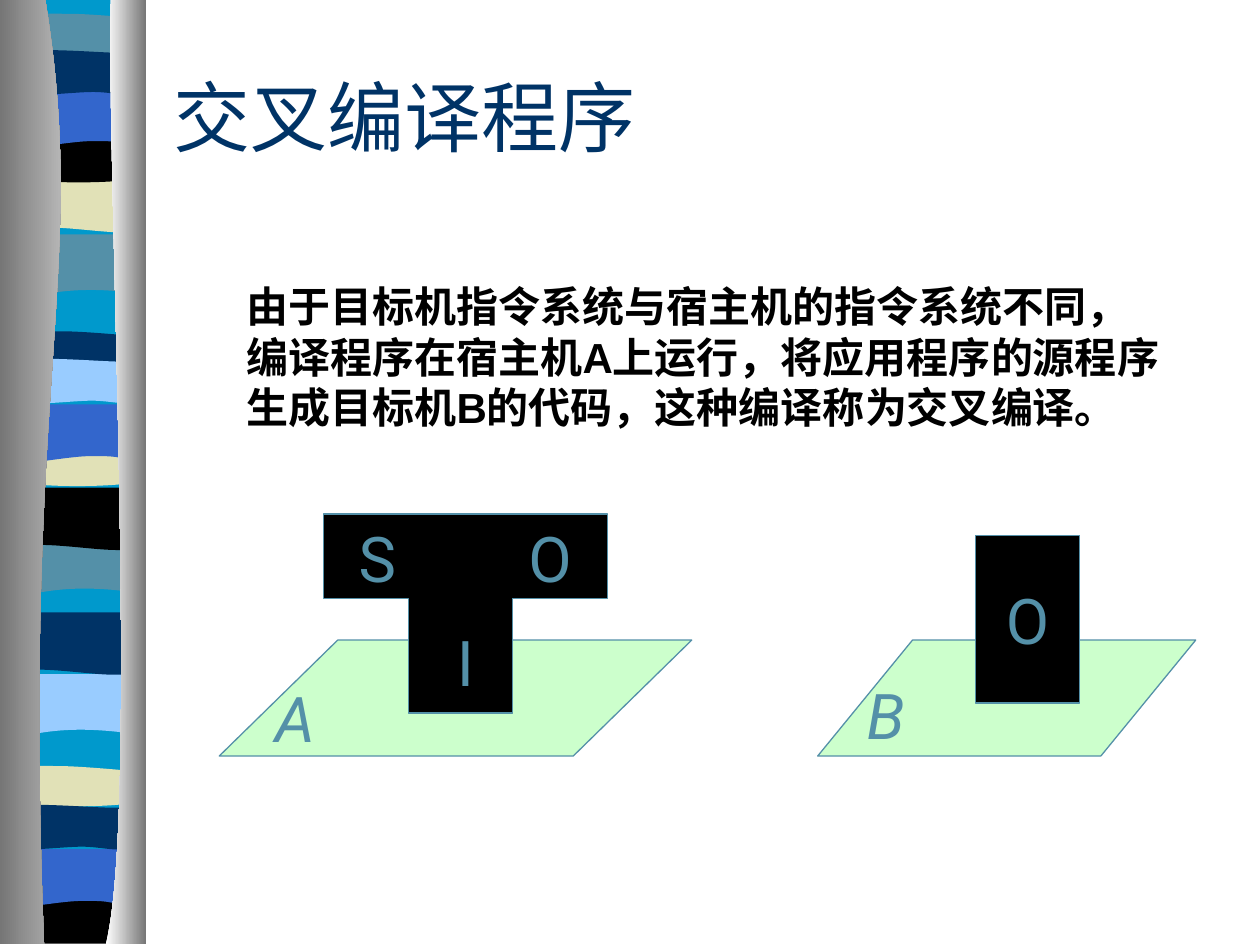
from dataclasses import dataclass

from lxml.etree import SubElement
from pptx import Presentation
from pptx.dml.color import RGBColor
from pptx.enum.shapes import MSO_SHAPE as Shape
from pptx.enum.text import MSO_ANCHOR as Anchor, MSO_AUTO_SIZE as AutoSize, PP_ALIGN as Align
from pptx.oxml.ns import qn
from pptx.util import Inches, Pt


@dataclass(frozen=True)
class Theme:
    aqua: str = "0099CC"
    steel: str = "5490A8"
    sand: str = "E1E1B7"
    black: str = "000000"
    blue: str = "3366CC"
    navy: str = "003366"
    sky: str = "99CCFF"
    mint: str = "CCFFCC"
    white: str = "FFFFFF"
    silver: str = "D3D3D3"
    grey: str = "767676"
    title_font: str = "Times New Roman"
    body_font: str = "Arial"
    letter_font: str = "Roboto"
    title_size: float = 44
    body_size: float = 24
    letter_size: float = 36
    line_width: float = 0.75


THEME = Theme()

# Outlines relative to a band's left top: 2 numbers are a corner, 6 a Bezier curve.
BAND_OUTLINES = {
    "fold": [(0.98, 0), (0.98, 0.47), (0.3, 0.38, 0.17, 0.54, 0, 0.47), (0, 0)],
    "sag": [(0.98, 0), (0.98, 0.47), (0.82, 0.55, 0.3, 0.41, 0, 0.47), (0, 0)],
    "lens": [(0.98, 0.05), (0.98, 0.3), (0.82, 0.34, 0.16, 0.34, 0, 0.3), (0, 0.05),
             (0.06, 0, 0.21, 0.01, 0.38, 0.01), (0.54, 0.01, 0.86, 0.04, 0.98, 0.05)],
    "arch": [(0.98, 0), (0.98, 0.33), (0.82, 0.38, 0.17, 0.38, 0, 0.33), (0, 0),
             (0.61, 0.05, 0.78, 0, 0.98, 0)],
    "wave": [(0.98, 0), (0.98, 0.47), (0.83, 0.41, 0.77, 0.41, 0.61, 0.41),
             (0.44, 0.41, 0.15, 0.47, 0, 0.47), (0, 0)],
    "swell": [(0.98, 0.05), (0.98, 0.36), (0.92, 0.41, 0.77, 0.36, 0.61, 0.36),
              (0.44, 0.36, 0.1, 0.41, 0, 0.36), (0, 0.05),
              (0.14, 0, 0.67, 0.05, 0.83, 0.05), (1, 0.05, 0.95, 0.05, 0.98, 0.05)],
    "foot": [(0.98, 0), (0.99, 0.37), (0.01, 0.37), (0, 0),
             (0.61, 0.05, 0.78, 0, 0.98, 0)],
}

# Outline, left, top and colour, from back to front.
BANDS = [
    ("fold", 0.13, 1.86, THEME.steel), ("sag", 0.17, 1.35, THEME.sand),
    ("lens", 0.17, 0.1, THEME.steel), ("arch", 0.13, 1.08, THEME.black),
    ("wave", 0.13, 0.71, THEME.blue), ("swell", 0.13, 0.37, THEME.navy),
    ("fold", 0.08, 4.23, THEME.steel), ("sag", 0.12, 3.87, THEME.black),
    ("lens", 0.12, 2.62, THEME.navy), ("arch", 0.12, 3.49, THEME.sand),
    ("wave", 0.12, 3.21, THEME.blue), ("swell", 0.12, 2.82, THEME.sky),
    ("fold", 0.05, 5.35, THEME.sky), ("sag", 0.1, 4.86, THEME.navy),
    ("lens", 0.08, 6.07, THEME.sand), ("foot", 0.08, 7.12, THEME.black),
    ("wave", 0.05, 6.74, THEME.blue), ("swell", 0.04, 6.36, THEME.navy),
]

LEFT_EDGE = [(0.36, 0), (0.71, 2.16, 0.17, 2.96, 0.35, 7.49), (0, 7.49), (0, 0)]
RIGHT_EDGE = [(0.88, 0), (0.84, 1.25, 1.11, 6.46, 0.84, 7.49), (1.16, 7.49), (1.16, 0)]
T_OUTLINE = [(2.57, 4.08), (2.57, 4.75), (3.24, 4.75), (3.24, 5.66),
             (4.07, 5.66), (4.07, 4.75), (4.82, 4.75), (4.82, 4.08)]


def rgb(colour):
    return RGBColor.from_string(colour)


def bend(shape, parts):
    """Join the three line segments that stand for each curve into one Bezier curve."""
    track = next(shape._element.iter(qn("a:path")))
    segments = iter(track.findall(qn("a:lnTo")))
    for part in parts[1:]:
        lines = [next(segments) for _ in range(len(part) // 2)]
        if len(lines) == 3:
            curve = SubElement(track, qn("a:cubicBezTo"))
            lines[0].addprevious(curve)
            for line in lines:
                curve.append(line[0])
                track.remove(line)


def write(frame, text, *, font, size, colour, bold=False, italic=False,
          align=Align.LEFT, anchor=Anchor.TOP, wrap=True, indent=0):
    frame.auto_size = AutoSize.NONE
    frame.word_wrap = wrap
    frame.vertical_anchor = anchor
    para = frame.paragraphs[0]
    para.alignment = align
    if indent:
        properties = para._p.get_or_add_pPr()
        properties.set("marL", str(Inches(indent)))
        properties.set("indent", "0")
    for number, line in enumerate(text.split("\n")):
        if number:
            para.add_line_break()
        span = para.add_run()
        span.text = line
        span.font.name = font
        span.font.size = Pt(size)
        span.font.bold = bold
        span.font.italic = italic
        span.font.color.rgb = rgb(colour)


class Painter:
    def __init__(self, page, theme):
        self.page = page
        self.theme = theme
        self.shapes = page.shapes

    def open_group(self):
        self.shapes = self.page.shapes.add_group_shape().shapes

    def close_group(self):
        self.shapes = self.page.shapes

    def paint(self, shape, fill, line=None):
        """Fill with one colour, or from left to right with a pair of colours."""
        shape.shadow.inherit = False
        if isinstance(fill, tuple):
            shape.fill.gradient()
            shape.fill.gradient_angle = 0
            for stop, colour in zip(shape.fill.gradient_stops, fill):
                stop.color.rgb = rgb(colour)
        else:
            shape.fill.solid()
            shape.fill.fore_color.rgb = rgb(fill)
        if line:
            shape.line.color.rgb = rgb(line)
            shape.line.width = Pt(self.theme.line_width)
        else:
            shape.line.fill.background()

    def outline(self, parts, fill, line=None, left=0, top=0):
        points = [(Inches(left + x), Inches(top + y))
                  for part in parts for x, y in zip(part[::2], part[1::2])]
        builder = self.shapes.build_freeform(*points[0], scale=1.0)
        builder.add_line_segments(points[1:], close=True)
        shape = builder.convert_to_shape()
        bend(shape, parts)
        self.paint(shape, fill, line)

    def preset(self, kind, box, fill, line=None, adjust=None):
        shape = self.shapes.add_shape(kind, *map(Inches, box))
        if adjust is not None:
            shape.adjustments[0] = adjust
        self.paint(shape, fill, line)
        return shape

    def text(self, text, box, **style):
        write(self.shapes.add_textbox(*map(Inches, box)).text_frame, text, **style)

    def title(self, text, box, **style):
        title = self.page.shapes.title
        title.left, title.top, title.width, title.height = map(Inches, box)
        write(title.text_frame, text, **style)


def draw_ribbon(painter):
    theme = painter.theme
    painter.open_group()
    painter.preset(Shape.RECTANGLE, (0.14, 0, 0.98, 7.47), theme.aqua)
    for kind, left, top, colour in BANDS:
        painter.outline(BAND_OUTLINES[kind], colour, left=left, top=top)
    painter.outline(LEFT_EDGE, (theme.grey, theme.silver))
    painter.outline(RIGHT_EDGE, (theme.white, theme.grey))
    painter.close_group()


def draw_machines(painter):
    theme = painter.theme
    letter = dict(font=theme.letter_font, size=theme.letter_size, colour=theme.steel,
                  align=Align.CENTER, anchor=Anchor.MIDDLE, wrap=False)
    for left, width, slant in ((6.49, 3, 0.818), (1.74, 3.75, 1.022)):
        painter.preset(Shape.PARALLELOGRAM, (left, 5.08, width, 0.92),
                       theme.mint, theme.steel, slant)
    painter.open_group()
    painter.outline(T_OUTLINE, theme.black, theme.steel)
    for name, box in (("S", (2.76, 4.07, 0.47, 0.7)), ("O", (4.07, 4.07, 0.59, 0.7)),
                      ("I", (3.51, 4.9, 0.37, 0.7))):
        painter.text(name, box, **letter)
    painter.close_group()
    program = painter.preset(Shape.RECTANGLE, (7.74, 4.25, 0.83, 1.33),
                             theme.black, theme.steel)
    write(program.text_frame, "O", **letter)
    painter.text("A", (2.1, 5.34, 0.48, 0.7), italic=True, **letter)
    painter.text("B", (6.78, 5.32, 0.5, 0.7), italic=True, **letter)


def main():
    deck = Presentation()
    deck.slide_width, deck.slide_height = Inches(10), Inches(7.5)
    painter = Painter(deck.slides.add_slide(deck.slide_layouts[5]), THEME)
    draw_ribbon(painter)
    painter.title("交叉编译程序", (1.28, 0.5, 8.5, 0.83), font=THEME.title_font,
                  size=THEME.title_size, colour=THEME.navy, anchor=Anchor.MIDDLE)
    painter.text("由于目标机指令系统与宿主机的指令系统不同，\n"
                 "编译程序在宿主机A上运行，将应用程序的源程序生成目标机B的代码，这种编译称为交叉编译。",
                 (1.45, 2.18, 8.04, 1.5), font=THEME.body_font, size=THEME.body_size,
                 colour=THEME.black, bold=True, indent=0.41)
    draw_machines(painter)
    deck.save("out.pptx")


if __name__ == "__main__":
    main()
